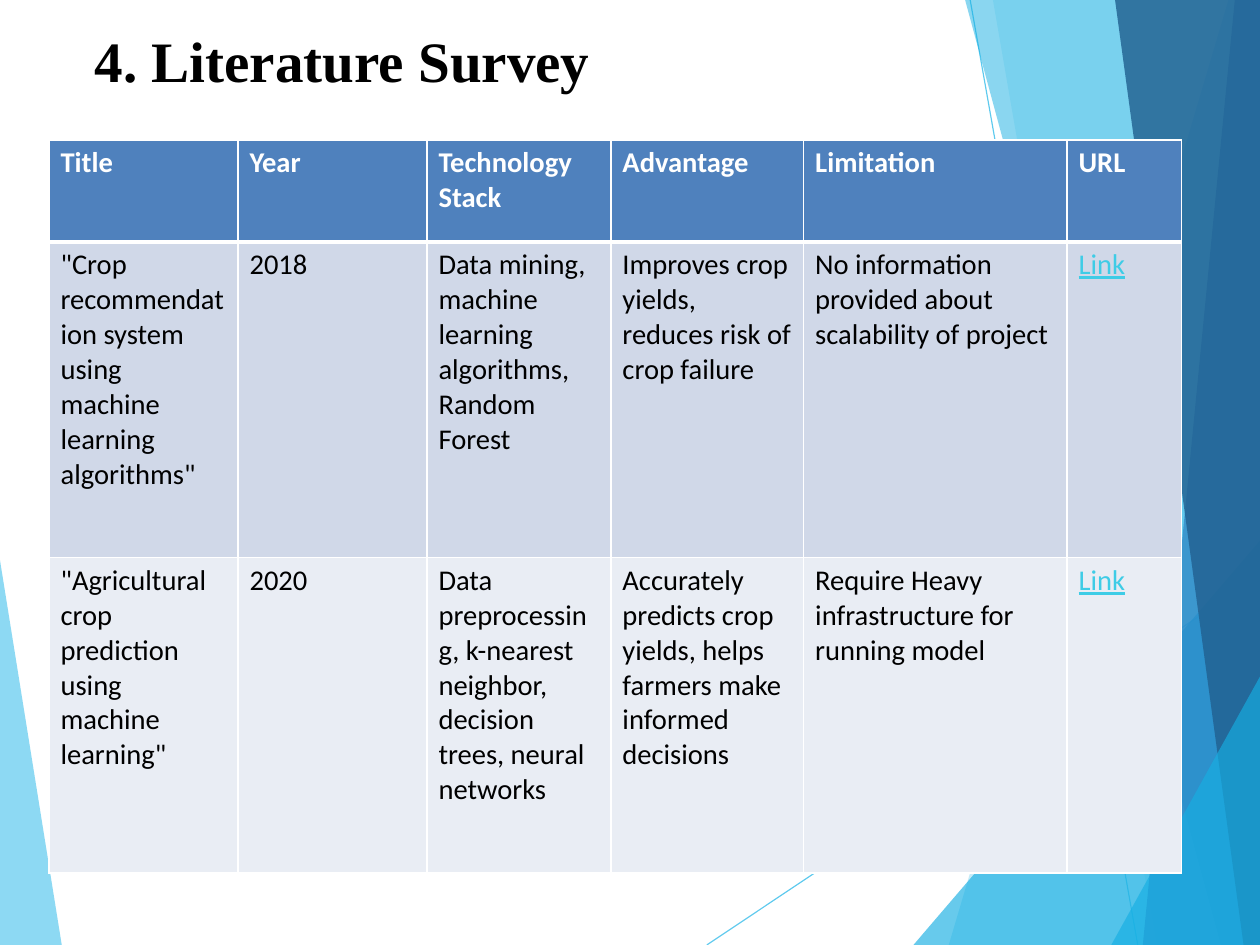
"""Build the literature survey slide: angled side bands, a title and a table."""
from lxml import etree
from pptx import Presentation
from pptx import util as u
from pptx.dml.color import RGBColor
from pptx.enum import shapes, text
from pptx.oxml import ns

C = {"sky": "5ECAEE", "cyan": "16AFE3", "blue": "2D82C2", "navy": "226191",
     "head": "4F81BD", "odd": "D0D8E8", "even": "E9EDF4", "link": "3ECCE6",
     "black": "000000", "white": "FFFFFF"}

prs = Presentation()
prs.slide_width, prs.slide_height = u.Inches(11.03), u.Inches(8.27)
s = prs.slides.add_slide(prs.slide_layouts[6])


def at(x, y):
    """Turn percentages of the slide's width and height into lengths."""
    return int(prs.slide_width * x / 100), int(prs.slide_height * y / 100)


def paint(fill, colour):
    """Fill with a named colour."""
    fill.solid()
    fill.fore_color.rgb = RGBColor.from_string(C[colour])


rays = [(56.1, 100, 100, 60.9), (77, 0, 90.3, 100)]
bands = [(0, 0, 59.3, 4.9, "sky", 70),
         (100, 97.5, 0, 75.3, "sky", 36),
         (100, 78.8, 0, 91.8, "sky", 20),
         (100, 100, 57.2, 72.5, "cyan", 65),
         (100, 76.6, 0, 96.9, "cyan", 50),
         (100, 98, 0, 90.7, "blue", 70),
         (100, 88.5, 0, 98.7, "navy", 82),
         (100, 100, 71.6, 88.2, "cyan", 65)]

for x1, y1, x2, y2 in rays:
    ray = s.shapes.add_connector(shapes.MSO_CONNECTOR.STRAIGHT, *at(x1, y1), *at(x2, y2))
    ray.line.width = u.Pt(0.75)
    paint(ray.line.fill, "sky")
    etree.SubElement(ray._element.spPr, ns.qn("a:effectLst"))

for edge, top_x, top_y, foot_x, colour, alpha in bands:
    outline = s.shapes.build_freeform(*at(edge, top_y))
    outline.add_line_segments([at(top_x, top_y), at(foot_x, 100), at(edge, 100)])
    sp = outline.convert_to_shape()
    sp.shadow.inherit = False
    sp.line.fill.background()
    paint(sp.fill, colour)
    rgb = sp._element.spPr.find(ns.qn("a:solidFill"))[0]
    etree.SubElement(rgb, ns.qn("a:alpha"), val=str(alpha * 1000))

title = s.shapes.add_textbox(*at(7.5, 2.7), *at(85, 21))
tf = title.text_frame
tf.word_wrap = True
tf.margin_left = tf.margin_right = tf.margin_top = tf.margin_bottom = 0
tf.vertical_anchor = text.MSO_ANCHOR.TOP
p = tf.paragraphs[0]
p.text = "4. Literature Survey"
p.space_before = u.Pt(1)
p.font.name, p.font.size, p.font.bold = "Times New Roman", u.Pt(36), True
paint(p.font.fill, "black")

rows = [
    ["Title", "Year", "Technology\vStack", "Advantage", "Limitation", "URL"],
    ['"Crop recommendation system using machine learning algorithms"', "2018",
     "Data mining, machine learning algorithms, Random Forest",
     "Improves crop yields, reduces risk of crop failure",
     "No information provided about scalability of project", "Link"],
    ['"Agricultural crop prediction using machine learning"', "2020",
     "Data preprocessing, k-nearest neighbor, decision trees, neural networks",
     "Accurately predicts crop yields, helps farmers make informed decisions",
     "Require Heavy infrastructure for running model", "Link"]]
widths = [15, 15, 14.6, 15.3, 20.9, 9.1]
heights = [10.8, 33.4, 33.4]
fills = ["head", "odd", "even"]

table = s.shapes.add_table(len(rows), len(widths), *at(3.9, 14.8),
                           *at(sum(widths), sum(heights))).table
for col, width in zip(table.columns, widths):
    col.width = at(width, 0)[0]

for i, row in enumerate(rows):
    table.rows[i].height = at(0, heights[i])[1]
    for j, words in enumerate(row):
        cell = table.cell(i, j)
        thick = {0: "lnB", 1: "lnT"}.get(i)
        for side in ("lnL", "lnR", "lnT", "lnB"):
            points = 3 if side == thick else 1
            ln = etree.SubElement(cell._tc.get_or_add_tcPr(), ns.qn("a:" + side),
                                  w=str(u.Pt(points)))
            solid = etree.SubElement(ln, ns.qn("a:solidFill"))
            etree.SubElement(solid, ns.qn("a:srgbClr"), val=C["white"])
        paint(cell.fill, fills[i])
        p = cell.text_frame.paragraphs[0]
        p.text = words
        link = words == "Link"
        p.font.name, p.font.size = "Calibri", u.Pt(18)
        p.font.bold, p.font.underline = i == 0, link
        paint(p.font.fill, "white" if i == 0 else "link" if link else "black")
        for r in p.runs:
            r.font.bold, r.font.underline = i == 0, link

prs.save("out.pptx")
